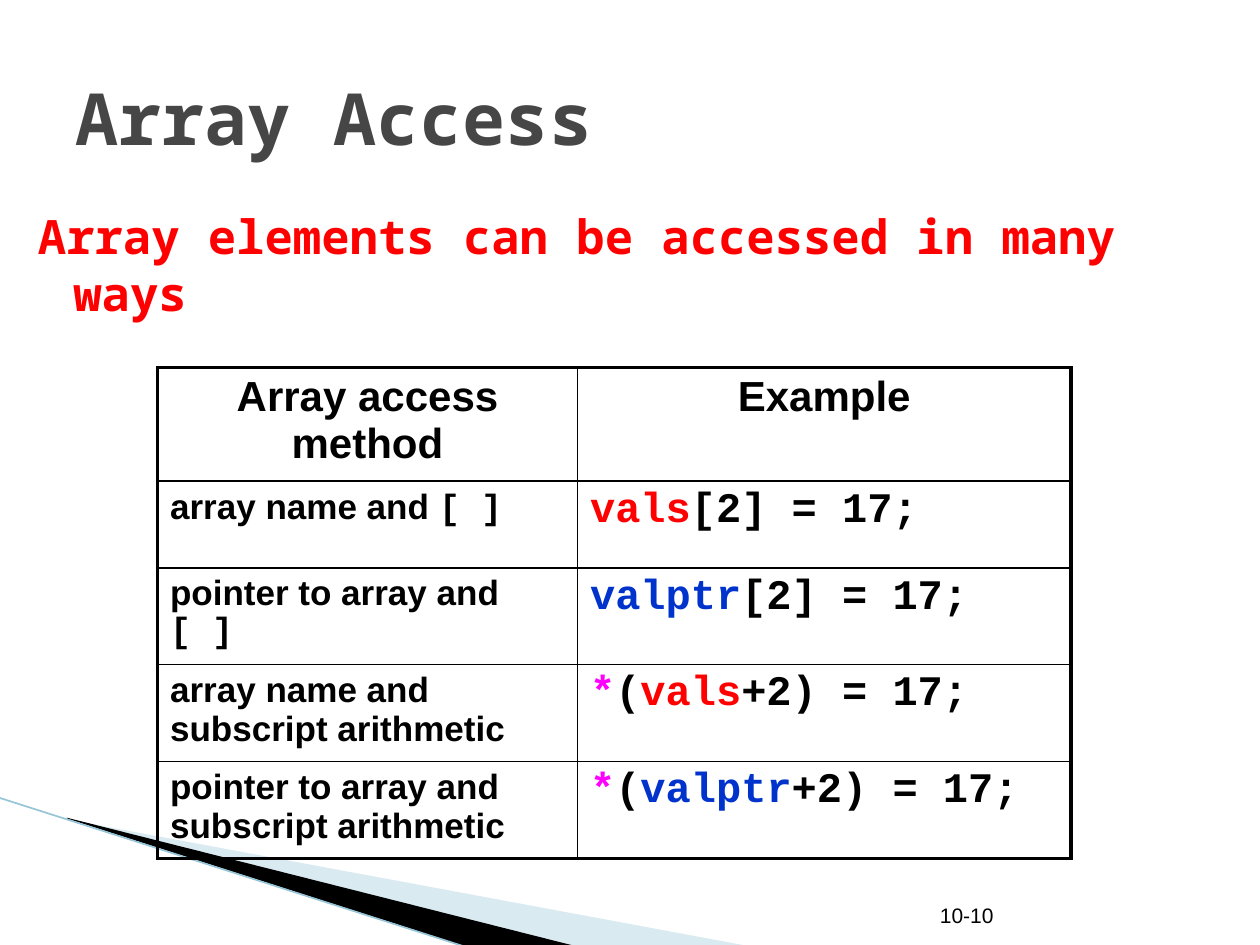
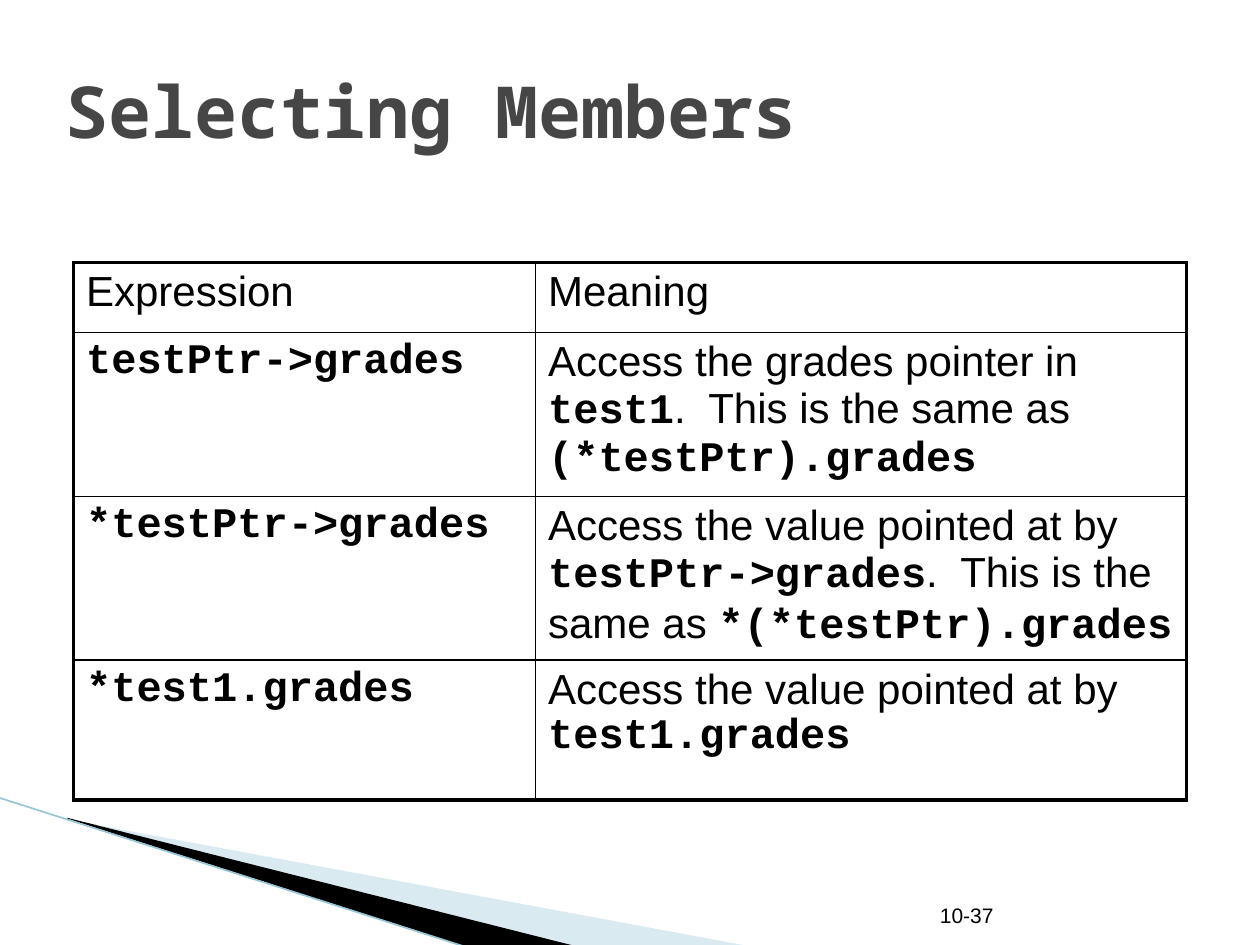
from lxml import etree
from pptx import Presentation
from pptx.dml.color import RGBColor
from pptx.enum.shapes import MSO_CONNECTOR
from pptx.enum.text import MSO_ANCHOR, MSO_AUTO_SIZE, PP_ALIGN
from pptx.oxml.ns import qn
from pptx.util import Pt

STRAIGHT = MSO_CONNECTOR.STRAIGHT
MIDDLE, BOTTOM = MSO_ANCHOR.MIDDLE, MSO_ANCHOR.BOTTOM
FIXED_SIZE = MSO_AUTO_SIZE.NONE
LEFT, CENTER = PP_ALIGN.LEFT, PP_ALIGN.CENTER

BLACK = RGBColor(0x00, 0x00, 0x00)
TITLE_GRAY = RGBColor(0x46, 0x46, 0x46)
RED = RGBColor(0xFF, 0x00, 0x00)
BLUE = RGBColor(0x00, 0x33, 0xCC)
MAGENTA = RGBColor(0xFF, 0x00, 0xFF)
PALE_BLUE = RGBColor(0xA0, 0xCB, 0xDC)
EDGE_BLUE = RGBColor(0x97, 0xC5, 0xD8)

SANS, CODE_FONT, HEADING_FONT = "Arial", "Courier New", "Noto Sans Mono"
THIN, THICK = 1, 2.25


def plain(text):
    return text, SANS, False, BLACK


def strong(text):
    return text, SANS, True, BLACK


def code(text, color=BLACK):
    return text, CODE_FONT, True, color


def set_font(font, name, bold, color):
    font.name = name
    font.bold = bold
    font.color.rgb = color


def write(paragraph, runs, size, align=LEFT):
    paragraph.alignment = align
    paragraph.font.size = Pt(size)
    if len(runs) == 1:
        set_font(paragraph.font, *runs[0][1:])
    for text, *style in runs:
        run = paragraph.add_run()
        run.text = text
        if len(runs) > 1:
            set_font(run.font, *style)


def add_wedge(slide, points, color):
    start, *rest = [(Pt(x), Pt(y)) for x, y in points]
    builder = slide.shapes.build_freeform(*start)
    builder.add_line_segments(rest)
    wedge = builder.convert_to_shape()
    wedge.shadow.inherit = False
    wedge.fill.solid()
    wedge.fill.fore_color.rgb = color
    wedge.line.fill.background()
    return wedge


def add_corner_to_layout(layout, slide):
    pale = add_wedge(slide, [(39.6, 468.5), (428.4, 540.7), (328.3, 540.7), (39.6, 468)], PALE_BLUE)
    color = pale.fill._xPr.find(qn("a:solidFill"))[0]
    etree.SubElement(color, qn("a:alpha")).set("val", "40000")
    dark = add_wedge(slide, [(38.2, 467.3), (329, 540.7), (267.8, 541.4), (38.9, 468)], BLACK)
    edge = slide.shapes.add_connector(STRAIGHT, Pt(-0.7), Pt(455.8), Pt(267.1), Pt(541.4))
    edge.line.color.rgb = EDGE_BLUE
    edge.line.width = Pt(0.95)
    etree.SubElement(edge.element.spPr, qn("a:effectLst"))
    for position, part in enumerate((pale, dark, edge), start=2):
        layout.shapes.element.insert(position, part.element)


def place_title(slide, text, box):
    title = slide.shapes.title
    title.left, title.top, title.width, title.height = map(Pt, box)
    frame = title.text_frame
    frame.auto_size = FIXED_SIZE
    frame.word_wrap = True
    frame.vertical_anchor = MIDDLE
    write(frame.paragraphs[0], [(text, HEADING_FONT, True, TITLE_GRAY)], 41)


def add_statement(slide, text, box):
    frame = slide.shapes.add_textbox(*map(Pt, box)).text_frame
    frame.word_wrap = True
    statement = frame.paragraphs[0]
    write(statement, [(text, HEADING_FONT, True, RED)], 27)
    statement.space_before = Pt(4)
    indents = statement._p.get_or_add_pPr()
    indents.set("marL", str(Pt(28.8)))
    indents.set("indent", str(Pt(-20.2)))


def add_page_number(slide, text, box=(530, 505, 151, 28.8)):
    frame = slide.shapes.add_textbox(*map(Pt, box)).text_frame
    frame.word_wrap = True
    frame.vertical_anchor = BOTTOM
    write(frame.paragraphs[0], [plain(text)], 12)


def set_borders(cell, widths):
    properties = cell._tc.get_or_add_tcPr()
    for side, width in zip("LRTB", widths):
        border = etree.SubElement(properties, qn("a:ln" + side), w=str(Pt(width)))
        fill = etree.SubElement(border, qn("a:solidFill"))
        etree.SubElement(fill, qn("a:srgbClr"), val=str(BLACK))


def add_framed_table(slide, origin, widths, heights, rows, label_size=24, heading_align=LEFT):
    box = (*origin, sum(widths), sum(heights))
    table = slide.shapes.add_table(len(heights), len(widths), *map(Pt, box)).table
    table.first_row = table.horz_banding = False
    for column, width in zip(table.columns, widths):
        column.width = Pt(width)
    last_row, last_column = len(heights) - 1, len(widths) - 1
    for r, (row, height) in enumerate(zip(rows, heights)):
        table.rows[r].height = Pt(height)
        for c, runs in enumerate(row):
            cell = table.cell(r, c)
            outer = (c == 0, c == last_column, r == 0, r == last_row)
            set_borders(cell, [THICK if edge else THIN for edge in outer])
            cell.fill.background()
            size = label_size if r > 0 and c == 0 else 24
            paragraph = cell.text_frame.paragraphs[0]
            write(paragraph, runs, size, heading_align if r == 0 else LEFT)
            paragraph.space_before = Pt(size * 0.2)


def build_array_access(slide):
    place_title(slide, "Array Access", (36, 21.6, 648, 90))
    add_statement(slide, "Array elements can be accessed in many ways", (6, 115, 708, 364))
    add_page_number(slide, "10-10")
    rows = [
        ([strong("Array access method")], [strong("Example")]),
        ([strong("array name and "), code("[ ]")],
         [code("vals", RED), code("[2] = 17;")]),
        ([strong("pointer to array and "), code("[ ]")],
         [code("valptr", BLUE), code("[2] = 17;")]),
        ([strong("array name and subscript arithmetic")],
         [code("*", MAGENTA), code("("), code("vals", RED), code("+2) = 17;")]),
        ([strong("pointer to array and subscript arithmetic")],
         [code("*", MAGENTA), code("("), code("valptr", BLUE), code("+2) = 17;")]),
    ]
    add_framed_table(slide, (90, 210), (240, 282), (65, 49.5, 44, 55.5, 55.5), rows,
                     label_size=20, heading_align=CENTER)


def build_selecting_members(slide):
    place_title(slide, "Selecting Members", (30, 18, 660, 90))
    add_page_number(slide, "10-37")
    rows = [
        ([plain("Expression")], [plain("Meaning")]),
        ([code("testPtr->grades")],
         [plain("Access the grades pointer in "), code("test1"),
          plain(".  This is the same as "), code("(*testPtr).grades")]),
        ([code("*testPtr->grades")],
         [plain("Access the value pointed at by "), code("testPtr->grades"),
          plain(".  This is the same as "), code("*(*testPtr).grades")]),
        ([code("*test1.grades")],
         [plain("Access the value pointed at by "), code("test1.grades")]),
    ]
    add_framed_table(slide, (42, 150), (264, 372), (40, 93.6, 93.6, 80), rows)


presentation = Presentation()
presentation.slide_width, presentation.slide_height = Pt(720), Pt(540)
title_only = presentation.slide_layouts[5]
access_slide = presentation.slides.add_slide(title_only)
members_slide = presentation.slides.add_slide(title_only)
add_corner_to_layout(title_only, access_slide)
build_array_access(access_slide)
build_selecting_members(members_slide)
presentation.save("out.pptx")
